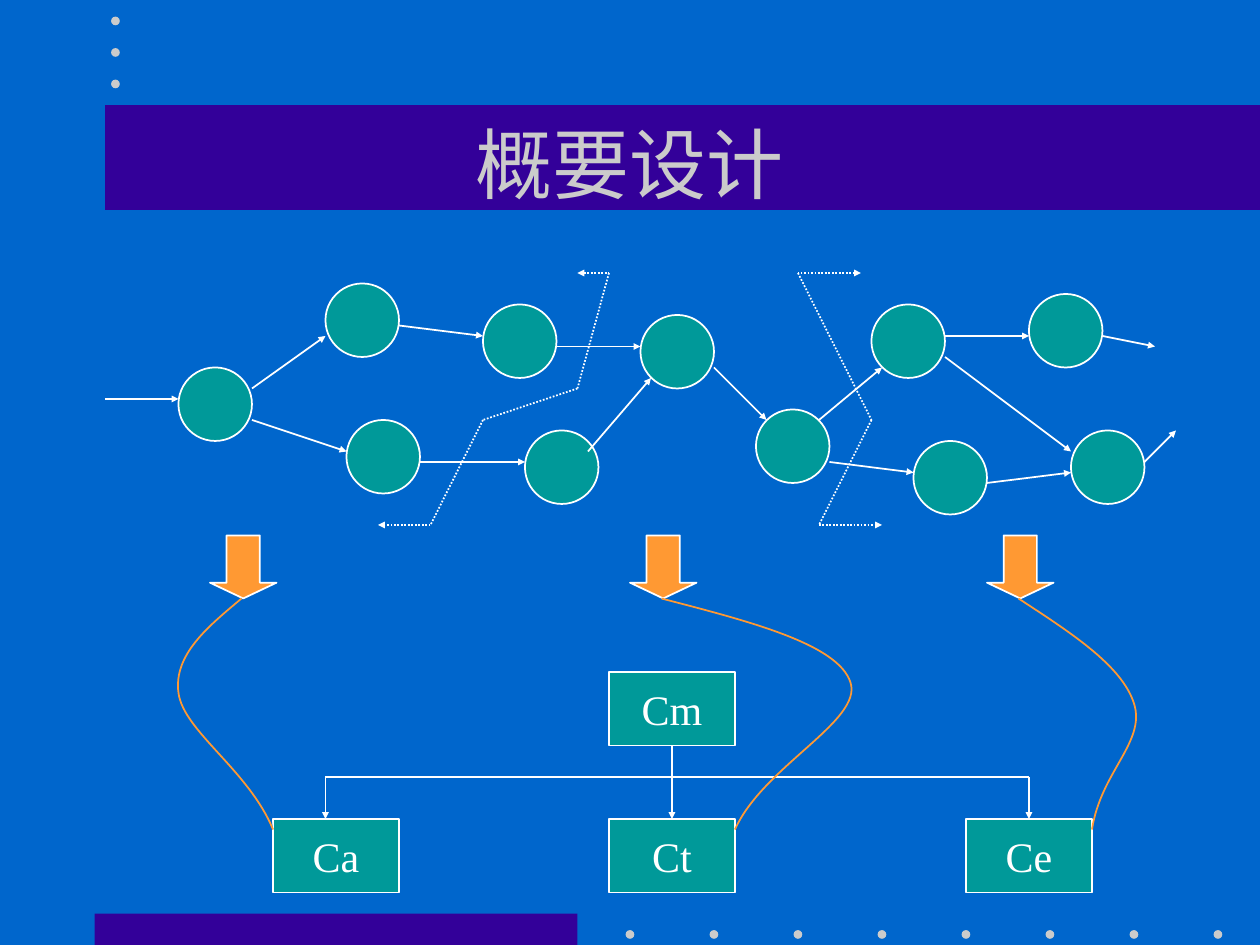
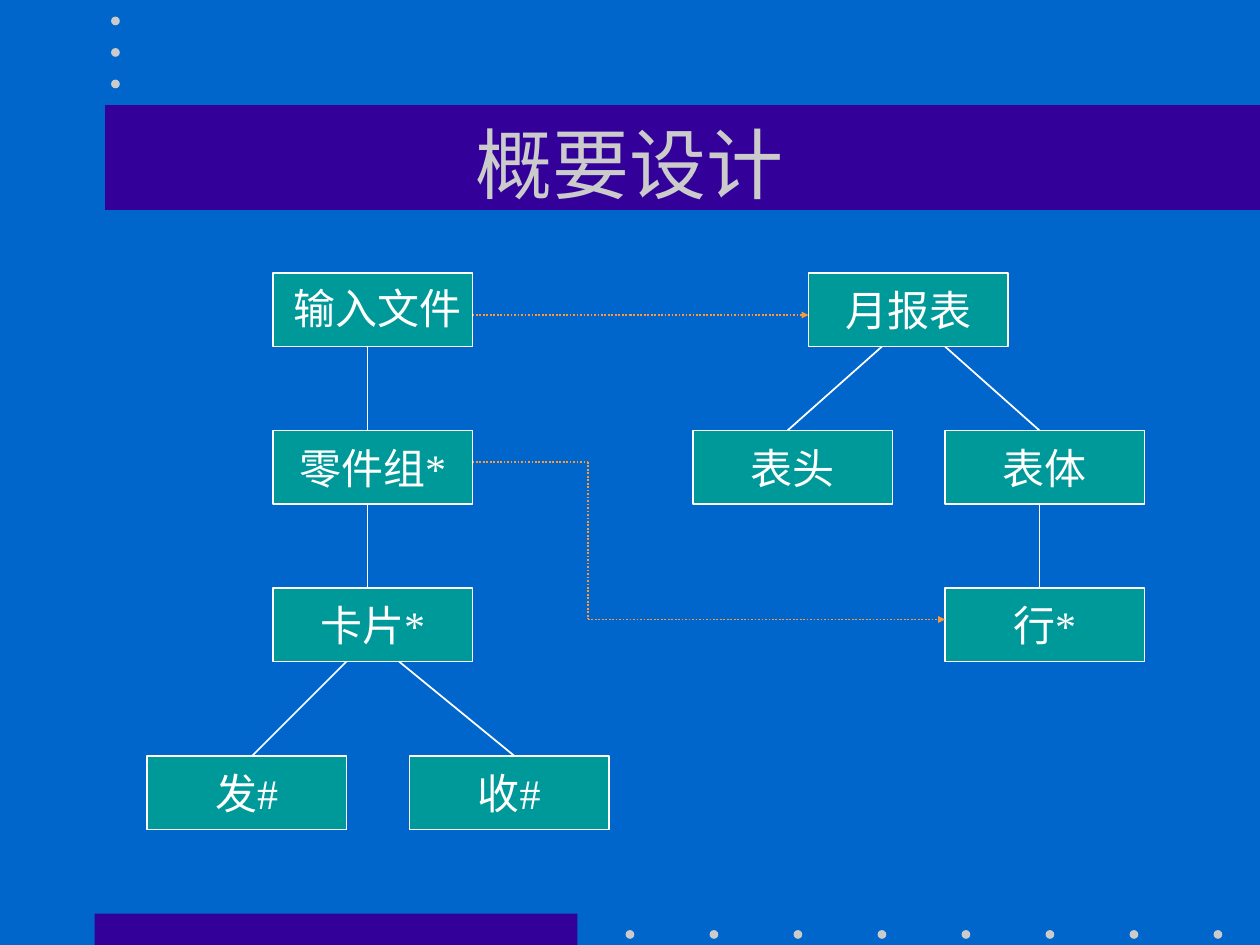
from itertools import pairwise

from lxml.etree import SubElement
from pptx import Presentation
from pptx.dml.color import RGBColor
from pptx.enum.dml import MSO_LINE
from pptx.enum.shapes import MSO_CONNECTOR, MSO_SHAPE
from pptx.enum.text import MSO_ANCHOR, MSO_AUTO_SIZE, PP_ALIGN
from pptx.oxml.ns import qn
from pptx.util import Pt

BLUE, PURPLE, TEAL = "0066CC", "330099", "009999"
GREY, WHITE, ORANGE = "CBCBCB", "FFFFFF", "FF9933"
FONT = "Times New Roman"
TITLE_ONLY = 5
TOP, BOTTOM = 0, 2  # connection sites
NODE = 42  # bubble diameter and box height
DOT_GAP = 48

BUBBLES = [
    (102, 210), (276, 174), (186, 162), (198, 240), (300, 246), (366, 180),
    (612, 246), (588, 168), (522, 252), (498, 174), (432, 234),
]
FLOWS = [
    ((60, 228), (102, 228)), ((144, 222), (186, 192)),
    ((144, 240), (198, 258)), ((228, 186), (276, 192)),
    ((240, 264), (300, 264)), ((318, 198), (366, 198)),
    ((336, 258), (372, 216)), ((408, 210), (438, 240)),
    ((474, 264), (522, 270)), ((468, 240), (504, 210)),
    ((540, 192), (588, 192)), ((540, 204), (612, 258)),
    ((564, 276), (612, 270)), ((630, 192), (660, 198)),
    ((654, 264), (672, 246)),
]
INPUT_BOUNDARY = [(330, 156), (348, 156), (330, 222), (276, 240),
                  (246, 300), (216, 300)]
OUTPUT_BOUNDARY = [(492, 156), (456, 156), (498, 240), (468, 300), (504, 300)]
CURVES = [
    [(138, 342), (119, 358), (99, 374), (102, 396),
     (105, 418), (142, 440), (156, 474)],
    [(378, 342), (428, 355), (479, 368), (486, 390),
     (493, 412), (436, 438), (420, 474)],
    [(582, 342), (611, 361), (641, 380), (648, 402),
     (655, 424), (629, 441), (624, 474)],
]
FILE_BOXES = [
    ("零件组*", 156, 246), ("", 156, 156), ("卡片*", 156, 336),
    ("发#", 84, 432), ("收#", 234, 432), ("月报表", 462, 156),
    ("表头", 396, 246), ("表体", 540, 246), ("行*", 540, 336),
]
TREE_LINES = [
    ((210, 198), (210, 246)), ((210, 288), (210, 336)),
    ((198, 378), (144, 432)), ((228, 378), (294, 432)),
    ((504, 198), (450, 246)), ((540, 198), (594, 246)),
    ((594, 288), (594, 336)),
]
MAPPINGS = [
    [(270, 180), (360, 180), (462, 180)],
    [(270, 264), (336, 264), (336, 354), (540, 354)],
]


def rgb(value):
    return RGBColor.from_string(value)


def style_text(frame, text, size, color, align):
    frame.text = text
    paragraph = frame.paragraphs[0]
    paragraph.alignment = align
    paragraph.font.name = FONT
    paragraph.font.size = Pt(size)
    paragraph.font.color.rgb = rgb(color)


def paint(shape, fill=None, line=None):
    shape.shadow.inherit = False
    if fill:
        shape.fill.solid()
        shape.fill.fore_color.rgb = rgb(fill)
    else:
        shape.fill.background()
    if line:
        shape.line.color.rgb = rgb(line)
        shape.line.width = Pt(1)
    else:
        shape.line.fill.background()


def add_figure(slide, kind, x, y, width, height, fill, line=None):
    figure = slide.shapes.add_shape(kind, Pt(x), Pt(y), Pt(width), Pt(height))
    paint(figure, fill, line)
    return figure


def add_box(slide, text, x, y, width):
    box = add_figure(slide, MSO_SHAPE.RECTANGLE, x, y, width, NODE, TEAL, WHITE)
    if text:
        box.text_frame.word_wrap = False
        box.text_frame.vertical_anchor = MSO_ANCHOR.MIDDLE
        style_text(box.text_frame, text, 24, WHITE, PP_ALIGN.CENTER)
    return box


def add_line(slide, start, end, color=WHITE, dotted=False, head=False, tail=False):
    """Draw a line; head and tail put arrowheads at its start and end."""
    line = slide.shapes.add_connector(
        MSO_CONNECTOR.STRAIGHT, *(Pt(v) for v in (*start, *end)))
    line.line.color.rgb = rgb(color)
    line.line.width = Pt(1)
    if dotted:
        line.line.dash_style = MSO_LINE.ROUND_DOT
    properties = line.element.spPr
    for tag, wanted in (("a:headEnd", head), ("a:tailEnd", tail)):
        if wanted:
            SubElement(properties.find(qn("a:ln")), qn(tag),
                       type="triangle", w="sm", len="sm")
    SubElement(properties, qn("a:effectLst"))
    return line


def add_dotted_route(slide, stops, color, head=False):
    """Join the stops with dotted lines and end with an arrowhead."""
    legs = list(pairwise(stops))
    for number, (start, end) in enumerate(legs):
        add_line(slide, start, end, color, dotted=True,
                 head=head and number == 0, tail=number == len(legs) - 1)


def add_curve(slide, points, fill=None):
    """Draw cubic curves through a start and triples of control points."""
    (x, y), *rest = [(Pt(x), Pt(y)) for x, y in points]
    builder = slide.shapes.build_freeform(x, y)
    builder.add_line_segments(rest, close=False)
    curve = builder.convert_to_shape()
    paint(curve, fill, ORANGE)
    outline = next(curve.element.iter(qn("a:path")))
    segments = outline.findall(qn("a:lnTo"))
    for first in range(0, len(segments), 3):
        bezier = SubElement(outline, qn("a:cubicBezTo"))
        for segment in segments[first:first + 3]:
            bezier.append(segment[0])
            outline.remove(segment)


def add_dot(slide, center_x, center_y, size=5):
    add_figure(slide, MSO_SHAPE.OVAL, center_x - size / 2, center_y - size / 2,
               size, size, GREY)


def set_up_layout(prs):
    """Give the master its background and place the layout's title."""
    background = prs.slide_master.background.fill
    background.solid()
    background.fore_color.rgb = rgb(BLUE)
    layout = prs.slide_layouts[TITLE_ONLY]
    title = layout.placeholders[0]
    title.left, title.top, title.width, title.height = (
        Pt(v) for v in (54, 48, 612, 90))


def add_decoration(slide):
    """Draw the bands and dots, then move them behind the layout's title."""
    add_figure(slide, MSO_SHAPE.RECTANGLE, 54, 522, 276, 18, PURPLE)
    for column in range(8):
        add_dot(slide, 360 + DOT_GAP * column, 534)
    add_figure(slide, MSO_SHAPE.RECTANGLE, 60, 60, 660, 60, PURPLE)
    for row in range(3):
        add_dot(slide, 66, 12 + 18 * row)
    tree = slide.slide_layout.shapes.element
    decorations = [shape for shape in slide.shapes if not shape.is_placeholder]
    for number, shape in enumerate(decorations):
        shape.element.nvSpPr.cNvPr.set("id", str(100 + number))
        tree.insert(2 + number, shape.element)


def add_design_slide(prs):
    slide = prs.slides.add_slide(prs.slide_layouts[TITLE_ONLY])
    frame = slide.shapes.title.text_frame
    style_text(frame, "概要设计", 44, GREY, PP_ALIGN.CENTER)
    frame.vertical_anchor = MSO_ANCHOR.MIDDLE
    frame.auto_size = MSO_AUTO_SIZE.NONE
    return slide


def draw_data_flow(slide):
    for x, y in BUBBLES:
        add_figure(slide, MSO_SHAPE.OVAL, x, y, NODE, NODE, TEAL, WHITE)
    for start, end in FLOWS:
        add_line(slide, start, end, tail=True)
    for boundary in (INPUT_BOUNDARY, OUTPUT_BOUNDARY):
        add_dotted_route(slide, boundary, WHITE, head=True)
    for x in (120, 360, 564):
        down_arrow = add_figure(slide, MSO_SHAPE.DOWN_ARROW, x, 306, 38, 36,
                                ORANGE, WHITE)
        down_arrow.adjustments[1] = 0.25


def draw_module_tree(slide):
    main_module = add_box(slide, "Cm", 348, 384, 72)
    transform = add_box(slide, "Ct", 348, 468, 72)
    add_box(slide, "Ca", 156, 468, 72)
    output = add_box(slide, "Ce", 552, 468, 72)
    add_curve(slide, CURVES[0], BLUE)
    add_line(slide, (186, 444), (588, 444))
    add_line(slide, (186, 444), (186, 468), tail=True)
    to_transform = add_line(slide, (384, 426), (384, 468), tail=True)
    to_transform.begin_connect(main_module, BOTTOM)
    to_transform.end_connect(transform, TOP)
    to_output = add_line(slide, (588, 444), (588, 468), tail=True)
    to_output.end_connect(output, TOP)
    for curve in CURVES[1:]:
        add_curve(slide, curve)


def draw_file_mapping(slide):
    for text, x, y in FILE_BOXES:
        add_box(slide, text, x, y, 114)
    input_label = slide.shapes.add_textbox(Pt(160.5), Pt(158), Pt(112), Pt(36))
    input_label.text_frame.word_wrap = False
    input_label.text_frame.auto_size = MSO_AUTO_SIZE.SHAPE_TO_FIT_TEXT
    style_text(input_label.text_frame, "输入文件", 24, WHITE, PP_ALIGN.LEFT)
    for start, end in TREE_LINES:
        add_line(slide, start, end)
    for mapping in MAPPINGS:
        add_dotted_route(slide, mapping, ORANGE)


def main():
    prs = Presentation()
    prs.slide_width, prs.slide_height = Pt(720), Pt(540)
    set_up_layout(prs)
    transform_design = add_design_slide(prs)
    add_decoration(transform_design)
    draw_data_flow(transform_design)
    draw_module_tree(transform_design)
    draw_file_mapping(add_design_slide(prs))
    prs.save("out.pptx")


if __name__ == "__main__":
    main()
